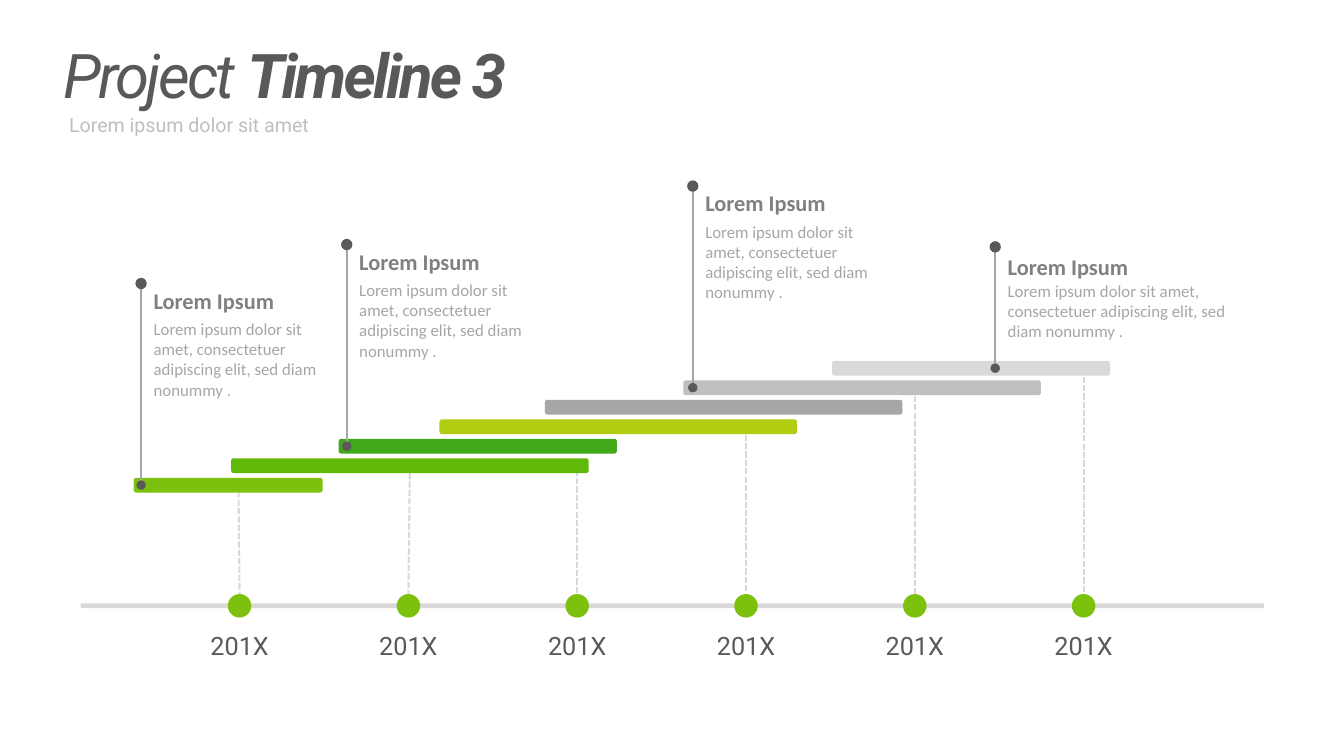
from lxml.etree import SubElement
from pptx import Presentation
from pptx.dml.color import RGBColor
from pptx.enum.dml import MSO_LINE
from pptx.enum.shapes import MSO_CONNECTOR, MSO_SHAPE
from pptx.enum.text import MSO_ANCHOR, PP_ALIGN
from pptx.oxml.ns import qn
from pptx.util import Pt

DARK = RGBColor(0x59, 0x59, 0x59)
GRAY = RGBColor(0x80, 0x80, 0x80)
MID = RGBColor(0xA6, 0xA6, 0xA6)
SOFT = RGBColor(0xBF, 0xBF, 0xBF)
PALE = RGBColor(0xD9, 0xD9, 0xD9)
LIME = RGBColor(0x7D, 0xC1, 0x0F)
GREEN = RGBColor(0x60, 0xB8, 0x08)
DEEP = RGBColor(0x41, 0xA9, 0x17)
OLIVE = RGBColor(0xB2, 0xCD, 0x11)

TITLE = [("Project ", False), ("Timeline 3", True)]
SUB = "Lorem ipsum dolor sit amet"
HEAD = "Lorem Ipsum"
BODY = ("Lorem ipsum dolor sit amet, consectetuer adipiscing elit, "
        "sed diam nonummy .")

# label, dash top, dash bottom, dash lean
YEARS = [
    ("201X", 526.3, 636.5, -1.1),
    ("201X", 506.9, 636.5, 1.5),
    ("201X", 503.3, 636.5, 0),
    ("201X", 465.8, 640, 0),
    ("201X", 424.1, 640, 0),
    ("201X", 394.6, 645, 0),
]
# left, width, colour
BARS = [
    (143.3, 202.3, LIME),
    (247.7, 383, GREEN),
    (362.9, 298, DEEP),
    (470.9, 383, OLIVE),
    (583.9, 383, MID),
    (732.2, 383, SOFT),
    (891.4, 298, PALE),
]
# x, bar, height, head drop, body drop, body width, body height
PINS = [
    (151.2, 0, 216, 0, 34.3, 218, 94),
    (371.5, 2, 216, 0, 34.3, 218, 94),
    (742.3, 5, 216, 0, 34.3, 218, 94),
    (1066.3, 6, 130, 3.2, 29.5, 281.5, 73),
]
YEAR_X, YEAR_STEP, AXIS_Y = 256.7, 180.86, 649.1
BAR_Y, BAR_STEP, BAR_H = 511.9, 20.88, 15.8

deck = Presentation()
deck.slide_width, deck.slide_height = Pt(1440), Pt(810)
slide = deck.slides.add_slide(deck.slide_layouts[6])


def shape(kind, x, y, w, h, color):
    item = slide.shapes.add_shape(kind, Pt(x), Pt(y), Pt(w), Pt(h))
    item.shadow.inherit = False
    item.fill.solid()
    item.fill.fore_color.rgb = color
    item.line.fill.background()


def dot(x, y, size, color):
    shape(MSO_SHAPE.OVAL, x - size / 2, y - size / 2, size, size, color)


def line(x1, y1, x2, y2, color, dash=None):
    item = slide.shapes.add_connector(
        MSO_CONNECTOR.STRAIGHT, Pt(x1), Pt(y1), Pt(x2), Pt(y2))
    item.line.color.rgb = color
    item.line.width = Pt(2.25)
    if dash:
        item.line.dash_style = dash
    SubElement(item._element.spPr, qn("a:effectLst"))


def text(runs, x, y, w, h, size, face, color, bold=None,
         align=None, anchor=MSO_ANCHOR.TOP, space=None):
    frame = slide.shapes.add_textbox(Pt(x), Pt(y), Pt(w), Pt(h)).text_frame
    frame.word_wrap = True
    frame.vertical_anchor = anchor
    para = frame.paragraphs[0]
    para.alignment = align
    para.line_spacing = space
    font = para.font
    font.size, font.name, font.bold = Pt(size), face, bold
    font.color.rgb = color
    for words in runs:
        para.add_run().text = words
    return para


title = text([words for words, _ in TITLE], 61.2, 46.1, 782, 75.6, 66,
             "Roboto", DARK, anchor=MSO_ANCHOR.MIDDLE, space=0.9)
title.font.italic = True
for run, (_, bold) in zip(title.runs, TITLE):
    run.font.bold = bold
    run.font._element.set("spc", "-300")
text([SUB], 67, 121.7, 497.5, 27.4, 21, "Roboto", SOFT,
     anchor=MSO_ANCHOR.MIDDLE, space=0.9)

for i, (_, top, base, lean) in enumerate(YEARS):
    x = YEAR_X + i * YEAR_STEP
    line(x + lean, top, x, base, PALE, MSO_LINE.SQUARE_DOT)
    slide.shapes[-1].line._ln.find(qn("a:prstDash")).set("val", "sysDash")

shape(MSO_SHAPE.RECTANGLE, 86.4, AXIS_Y - 2.5, 1268, 5, PALE)
for i, (label, *_) in enumerate(YEARS):
    x = YEAR_X + i * YEAR_STEP
    dot(x, AXIS_Y, 25.2, LIME)
    text([label], x - 69.5, 671.8, 139, 39.6, 27, "Roboto", DARK,
         align=PP_ALIGN.CENTER)

for i, (x, width, color) in enumerate(BARS):
    shape(MSO_SHAPE.ROUNDED_RECTANGLE, x, BAR_Y - i * BAR_STEP,
          width, BAR_H, color)

for x, bar, tall, drop, gap, width, high in PINS:
    foot = BAR_Y - bar * BAR_STEP + BAR_H / 2
    top = foot - tall
    text([BODY], x + 6.3, top + drop + gap, width, high, 18, "Calibri", MID)
    text([HEAD], x + 6.3, top + drop, 184.3, 36, 24, "Calibri", GRAY, True)
    line(x, foot, x, top, MID)
    dot(x, top, 12.2, DARK)
    dot(x, foot, 10.1, DARK)

deck.save("out.pptx")
